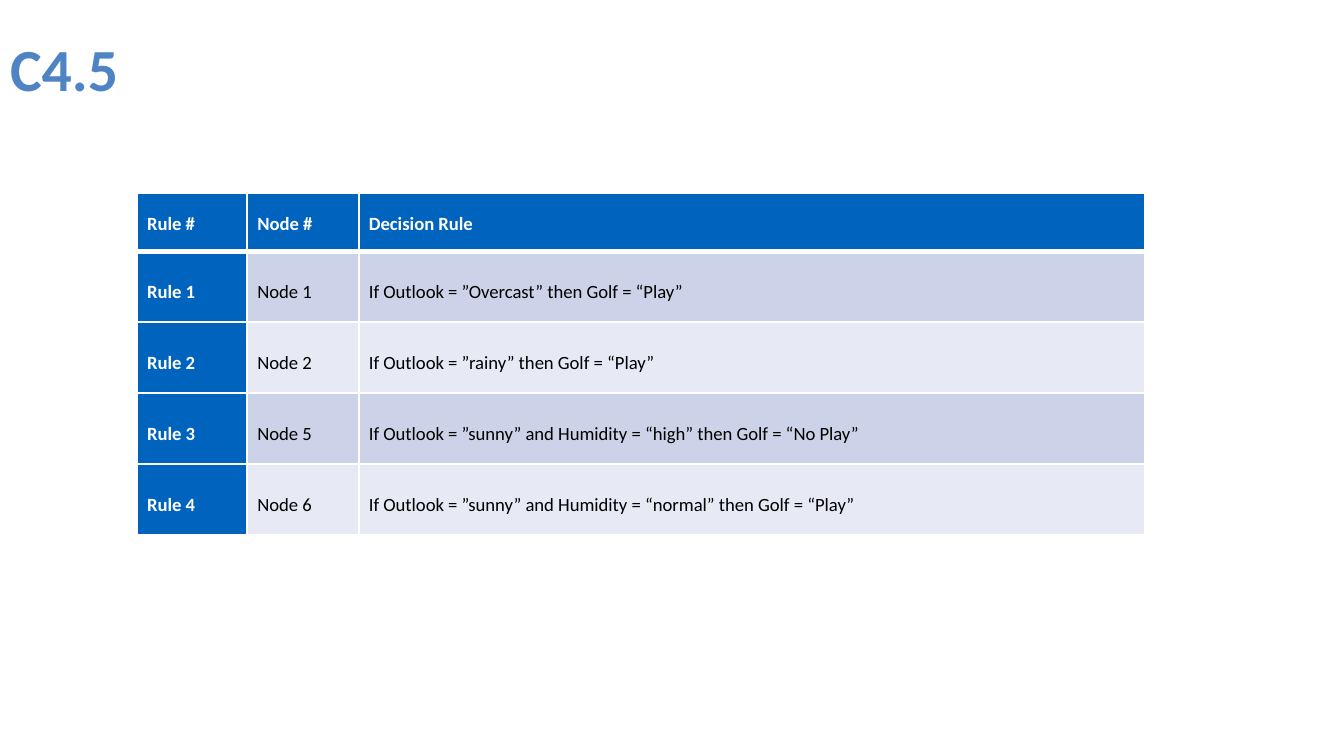
from typing import NamedTuple

from lxml import etree
from pptx import Presentation
from pptx.dml.color import RGBColor
from pptx.enum.text import MSO_ANCHOR, PP_ALIGN
from pptx.oxml.ns import qn
from pptx.util import Inches, Pt

MIDDLE = MSO_ANCHOR.MIDDLE
LEFT, JUSTIFY = PP_ALIGN.LEFT, PP_ALIGN.JUSTIFY
TITLE_ONLY = 5

FONT = "Calibri"
WHITE, BLACK = "FFFFFF", "000000"
TITLE_BLUE, HEADER_BLUE = "4E84C4", "0063BE"
BANDS = ("CCD3E8", "E7EAF4")

SLIDE_WIDTH = 10
SLIDE_HEIGHT = SLIDE_WIDTH * 9 / 16
SIDE_MARGIN = Pt(5.4)
TABLE_LEFT, TABLE_TOP, TABLE_HEIGHT = 1.02, 1.44, 2.54
COLUMN_WIDTHS = (0.82, 0.83, 5.85)
HEADER_HEIGHT = 0.43


class Rule(NamedTuple):
    name: str
    node: str
    decision: str


HEADER = Rule("Rule #", "Node #", "Decision Rule")
RULES = (
    Rule("Rule 1", "Node 1", "If Outlook = ”Overcast” then Golf = “Play”"),
    Rule("Rule 2", "Node 2", "If Outlook = ”rainy” then Golf = “Play”"),
    Rule("Rule 3", "Node 5", "If Outlook = ”sunny” and Humidity = “high” then Golf = “No Play”"),
    Rule("Rule 4", "Node 6", "If Outlook = ”sunny” and Humidity = “normal” then Golf = “Play”"),
)


def rgb(color: str) -> RGBColor:
    return RGBColor.from_string(color)


def write(frame, text: str, *, size: float, color: str, bold: bool = False,
          align=LEFT, line_spacing: float = 1.0, space_before: float = 0) -> None:
    para = frame.paragraphs[0]
    para.alignment = align
    para.line_spacing = line_spacing
    para.space_before = Pt(space_before)
    span = para.add_run()
    span.text = text
    span.font.name = FONT
    span.font.size = Pt(size)
    span.font.bold = bold
    span.font.color.rgb = rgb(color)


def set_borders(cell, **widths: float) -> None:
    """Draw white borders; the keys L, R, T and B give widths in points."""
    properties = cell._tc.get_or_add_tcPr()
    for side, width in widths.items():
        line = etree.SubElement(properties, qn(f"a:ln{side}"), w=str(Pt(width)))
        fill = etree.SubElement(line, qn("a:solidFill"))
        etree.SubElement(fill, qn("a:srgbClr"), val=WHITE)


def add_title(slide, text: str) -> None:
    title = slide.shapes.title
    title.left, title.top = Inches(0), Inches(0.24)
    title.width, title.height = Inches(9.72), Inches(0.53)
    frame = title.text_frame
    frame.vertical_anchor = MIDDLE
    frame.margin_left = frame.margin_right = SIDE_MARGIN
    frame.margin_top = frame.margin_bottom = Inches(0.04)
    write(frame, text, size=32, color=TITLE_BLUE, bold=True)


def fill_cell(cell, text: str, row: int, column: int) -> None:
    is_header = row == 0
    is_heading = is_header or column == 0
    cell.vertical_anchor = MIDDLE
    cell.margin_left = cell.margin_right = SIDE_MARGIN
    cell.margin_top = cell.margin_bottom = 0
    set_borders(cell, L=1, R=1, T=3 if row == 1 else 1, B=3 if is_header else 1)
    cell.fill.solid()
    cell.fill.fore_color.rgb = rgb(HEADER_BLUE if is_heading else BANDS[(row - 1) % 2])
    write(cell.text_frame, text, size=10, color=WHITE if is_heading else BLACK,
          bold=is_heading, align=JUSTIFY, line_spacing=1.15 if is_header else 1.5,
          space_before=5 if is_header else 0)


def add_rule_table(slide, rows: tuple[Rule, ...]) -> None:
    rule_count = len(rows) - 1
    rule_height = (TABLE_HEIGHT - HEADER_HEIGHT) / rule_count
    heights = [HEADER_HEIGHT] + [rule_height] * rule_count
    table = slide.shapes.add_table(
        len(rows), len(COLUMN_WIDTHS), Inches(TABLE_LEFT), Inches(TABLE_TOP),
        Inches(sum(COLUMN_WIDTHS)), Inches(TABLE_HEIGHT)).table
    table.first_col = True
    for column, width in zip(table.columns, COLUMN_WIDTHS):
        column.width = Inches(width)
    for row, (rule, height) in enumerate(zip(rows, heights)):
        table.rows[row].height = Inches(height)
        for column, text in enumerate(rule):
            fill_cell(table.cell(row, column), text, row, column)


def main() -> None:
    deck = Presentation()
    deck.slide_width, deck.slide_height = Inches(SLIDE_WIDTH), Inches(SLIDE_HEIGHT)
    page = deck.slides.add_slide(deck.slide_layouts[TITLE_ONLY])
    add_title(page, "C4.5")
    add_rule_table(page, (HEADER, *RULES))
    deck.save("out.pptx")


if __name__ == "__main__":
    main()
